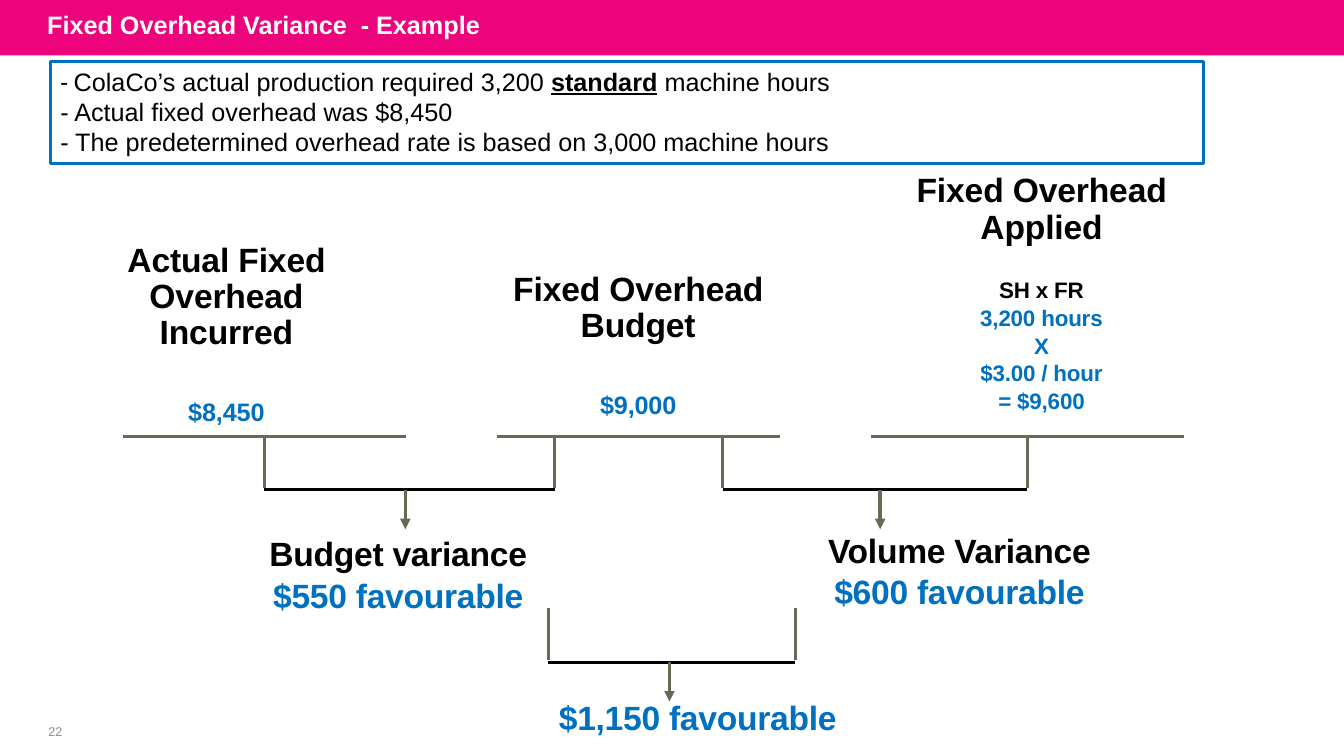
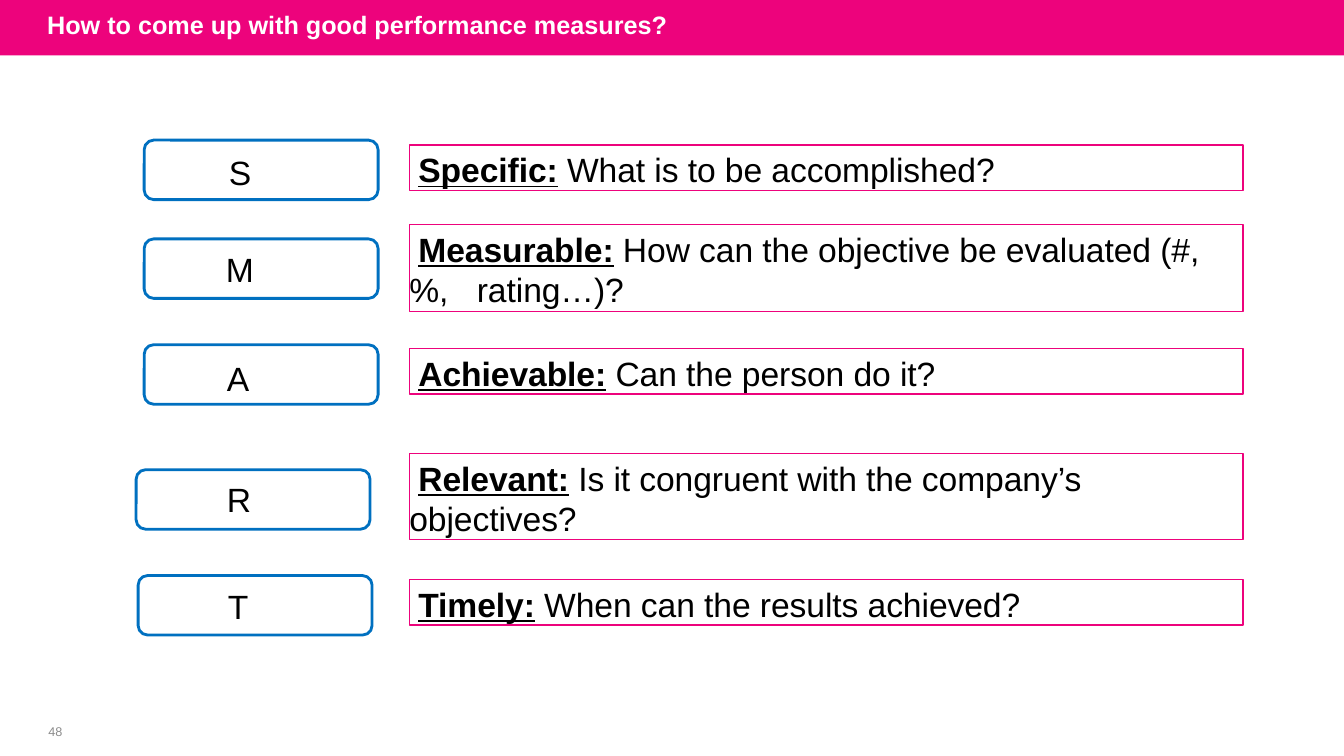
from lxml import etree
from pptx import Presentation
from pptx.dml.color import RGBColor
from pptx.enum import shapes, text
from pptx.oxml import ns
from pptx.util import Inches, Pt

PINK = RGBColor(0xED, 0x03, 0x7C)
BLUE = RGBColor(0x00, 0x70, 0xC0)
OLIVE = RGBColor(0x67, 0x6A, 0x54)
GREY = RGBColor(0x8C, 0x8C, 0x8C)
BLACK = RGBColor(0, 0, 0)
WHITE = RGBColor(0xFF, 0xFF, 0xFF)
CENTER, LEFT = text.PP_ALIGN.CENTER, text.PP_ALIGN.LEFT
TOP, MIDDLE = text.MSO_ANCHOR.TOP, text.MSO_ANCHOR.MIDDLE
RECT = shapes.MSO_SHAPE.RECTANGLE
ROUNDED = shapes.MSO_SHAPE.ROUNDED_RECTANGLE
RULE_Y, JOIN_Y = 4.33, 4.86


def style_run(run, size=24, color=BLACK, bold=False, underline=False, face="Arial",
              tracking=0):
    font = run.font
    font.name, font.size, font.bold = face, Pt(size), bold
    font.underline = underline
    font.color.rgb = color
    if tracking:
        run._r.get_or_add_rPr().set("spc", str(round(tracking * 100)))


def write(frame, *lines, align=LEFT, anchor=TOP, insets=(0, 0.01, 0, 0), **base):
    """Fill a frame; a line is text, or (runs, paragraph options).

    A run is text, or (text, font options).
    """
    frame.word_wrap = True
    frame.vertical_anchor = anchor
    (frame.margin_left, frame.margin_top,
     frame.margin_right, frame.margin_bottom) = map(Inches, insets)
    for number, line in enumerate(lines):
        runs, options = ([line], {}) if isinstance(line, str) else line
        paragraph = frame.add_paragraph() if number else frame.paragraphs[0]
        properties = paragraph._p.get_or_add_pPr()
        if "indent" in options:
            properties.set("indent", str(Inches(options["indent"])))
        if "tab" in options:
            tabs = etree.SubElement(properties, ns.qn("a:tabLst"))
            etree.SubElement(tabs, ns.qn("a:tab"),
                             pos=str(Inches(options["tab"])), algn="l")
        paragraph.alignment = align
        if "before" in options:
            paragraph.space_before = Pt(options["before"])
        if "spacing" in options:
            paragraph.line_spacing = Pt(options["spacing"])
        for item in runs:
            words, changes = (item, {}) if isinstance(item, str) else item
            run = paragraph.add_run()
            run.text = words
            style_run(run, **{**base, **changes})


class Deck:
    def __init__(self):
        self.file = Presentation()
        self.file.slide_width, self.file.slide_height = Inches(13.33), Inches(7.5)
        self.slide = None

    def start(self, title, number):
        """Add a slide with the title band and page number."""
        self.slide = self.file.slides.add_slide(self.file.slide_layouts[6])
        self.shape(RECT, 0, 0, 13.33, 0.55, fill=PINK)
        self.text(0.37, 0, 10.5, 0.49, title, anchor=MIDDLE,
                  insets=(0.1, 0, 0.1, 0), size=18, color=WHITE, bold=True)
        self.text(0.29, 7.14, 0.52, 0.24, number, align=CENTER, anchor=MIDDLE,
                  insets=(0, 0, 0, 0), size=9, color=GREY)

    def finish(self, shape, fill=None, line=None, weight=1):
        shape.shadow.inherit = False
        if fill is None:
            shape.fill.background()
        else:
            shape.fill.solid()
            shape.fill.fore_color.rgb = fill
        if line is None:
            shape.line.fill.background()
        else:
            shape.line.color.rgb = line
            shape.line.width = Pt(weight)
        return shape

    def shape(self, kind, left, top, width, height, **look):
        return self.finish(self.slide.shapes.add_shape(
            kind, *map(Inches, (left, top, width, height))), **look)

    def text(self, left, top, width, height, *lines, **style):
        box = self.slide.shapes.add_textbox(*map(Inches, (left, top, width, height)))
        write(box.text_frame, *lines, **style)

    def line(self, x1, y1, x2, y2, color=OLIVE, weight=2.25, arrow=False):
        line = self.slide.shapes.add_connector(
            shapes.MSO_CONNECTOR.STRAIGHT, *map(Inches, (x1, y1, x2, y2)))
        line.line.color.rgb = color
        line.line.width = Pt(weight)
        if arrow:
            etree.SubElement(line.line._get_or_add_ln(), ns.qn("a:tailEnd"), type="triangle")
        etree.SubElement(line._element.spPr, ns.qn("a:effectLst"))

    def strokes(self, *segments):
        """Draw separate straight strokes (x1, y1, x2, y2) as one outline."""
        builder = None
        for segment in segments:
            x1, y1, x2, y2 = map(Inches, segment)
            if builder is None:
                builder = self.slide.shapes.build_freeform(x1, y1)
            else:
                builder.move_to(x1, y1)
            builder.add_line_segments([(x2, y2)], close=False)
        self.finish(builder.convert_to_shape(), line=OLIVE, weight=2.25)

    def join(self, left, right, y, arrow_x):
        """Join two stems, with an arrow down to their variance."""
        self.line(left, y, right, y, color=BLACK)
        self.line(arrow_x, y, arrow_x, y + 0.39, weight=2.5, arrow=True)

    def heading(self, left, top, width, height, title, *details):
        self.text(left, top, width, height, ([title], {"spacing": 25.9}), *details,
                  align=CENTER, bold=True, tracking=-0.1)

    def variance(self, left, top, width, amount, title=None, gap=0):
        lines = [([(amount, {"color": BLUE})], {"before": gap} if title else {})]
        if title:
            lines.insert(0, title)
        self.text(left, top, width, 0.42 * len(lines), *lines,
                  align=CENTER, bold=True, tracking=-0.2)


def amount_line(amount):
    return [(amount, {"size": 18, "color": BLUE})], {"spacing": 25.9, "before": 27.9}


def overhead_slide(deck):
    deck.start("Fixed Overhead Variance  - Example", "22")
    facts = deck.shape(RECT, 0.5, 0.61, 11.44, 1.01, line=BLUE, weight=2.25)
    write(facts.text_frame,
          ([("- ", {"face": "Calibri"}), "ColaCo’s actual production required 3,200 ",
            ("standard", {"bold": True, "underline": True}), " machine hours"], {}),
          "- Actual fixed overhead was $8,450",
          "- The predetermined overhead rate is based on 3,000 machine hours",
          anchor=MIDDLE, insets=(0.1, 0.04, 0.1, 0.06), size=18)

    deck.heading(1, 2.4, 2.49, 1.87, "Actual Fixed Overhead Incurred", amount_line("$8,450"))
    deck.heading(4.98, 2.69, 2.7, 1.5, "Fixed Overhead Budget", amount_line("$9,000"))
    applied = [("SH x FR", BLACK, 21.5), ("3,200 hours", BLUE, 1), ("X", BLUE, 0.5),
               ("$3.00 / hour", BLUE, 0.5), ("= $9,600", BLUE, 1)]
    deck.heading(8.87, 1.71, 2.92, 2.43, "Fixed Overhead Applied",
                 *(([(words, {"size": 16, "color": color})], {"before": before})
                   for words, color, before in applied))

    for left, right, stems in ((1.22, 4.03, [2.62]), (4.93, 7.74, [5.5, 7.17]),
                               (8.64, 11.74, [10.19])):
        deck.strokes((left, RULE_Y, right, RULE_Y),
                     *((x, RULE_Y, x, JOIN_Y - 0.02) for x in stems))
    deck.join(2.62, 5.5, JOIN_Y, arrow_x=4.02)
    deck.join(7.17, 10.19, JOIN_Y, arrow_x=8.73)
    deck.strokes(*((x, 6.03, x, 6.55) for x in (5.44, 7.89)))
    deck.join(5.44, 7.89, 6.57, arrow_x=6.64)

    deck.variance(1.57, 5.28, 4.76, "$550 favourable", "Budget variance", gap=1)
    deck.variance(7.74, 5.25, 3.55, "$600 favourable", "Volume Variance")
    deck.variance(4.54, 6.9, 4.76, "$1,150 favourable")


def measures_slide(deck):
    deck.start("How to come up with good performance measures?", "48")
    # pill left and top, letter left and top, box top and height, term, question, rest
    measures = [
        (1.43, 1.39, 2.27, 1.5, 1.44, 0.45, "Specific:", "What is to be accomplished?", None),
        (1.43, 2.37, 2.24, 2.46, 2.23, 0.86, "Measurable:",
         "How can the objective be evaluated (#,", "%,\trating…)?"),
        (1.43, 3.42, 2.25, 3.54, 3.46, 0.45, "Achievable:", "Can the person do it?", None),
        (1.35, 4.66, 2.25, 4.74, 4.5, 0.85, "Relevant:",
         "Is it congruent with the company’s", "objectives?"),
        (1.37, 5.71, 2.26, 5.8, 5.75, 0.45, "Timely:", "When can the results achieved?", None),
    ]
    for (pill_x, pill_y, letter_x, letter_y, box_y, box_height,
         term, question, rest) in measures:
        pill = deck.shape(ROUNDED, pill_x, pill_y, 2.32, 0.59, line=BLUE, weight=2)
        pill.adjustments[0] = 0.16
        deck.text(letter_x, letter_y, 0.4, 0.43, term[0])
        box = deck.shape(RECT, 4.06, box_y, 8.27, box_height, line=PINK)
        lines = [([(term, {"bold": True, "underline": True}), " " + question],
                  {"indent": 0.09})]
        if rest:
            lines.append(([rest], {"tab": 0.67}))
        write(box.text_frame, *lines, insets=(0, 0.04, 0, 0), tracking=-0.05)


def main():
    deck = Deck()
    overhead_slide(deck)
    measures_slide(deck)
    deck.file.save("out.pptx")


if __name__ == "__main__":
    main()
